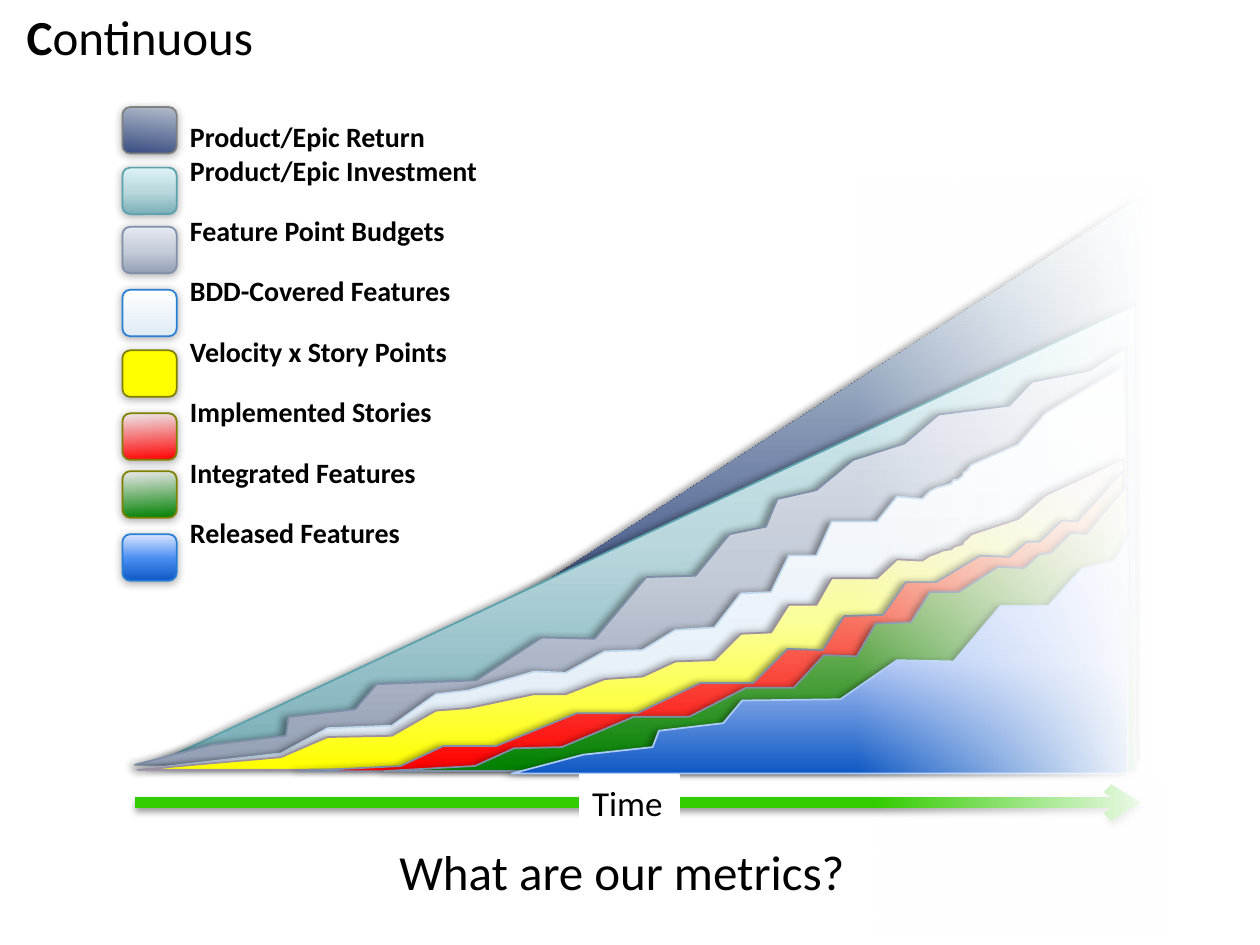
from lxml import etree
from pptx import Presentation, util as u
from pptx.dml.color import RGBColor
from pptx.enum import shapes, text
from pptx.oxml.ns import qn

THEME = {
    "font": "Calibri", "heading": 28, "axis": 20, "label": 16,
    "ink": "000000", "paper": "FFFFFF", "arrow": "33CC00",
    "return": [(0, "000000"), (24, "384C81"), (100, "DEECEF")],
    "return_key": [(0, "384C81"), (100, "B2BCCB")],
    "investment": [(0, "7AAEB8"), (48, "B9D7DD"), (100, "DDF2F6")],
    "budget": [(0, "939FB4"), (48, "C5CCD9"), (100, "E4E9F2")],
    "covered": [(0, "E0EBF6"), (100, "FFFFFF")],
    "velocity": [(0, "FFFF00"), (48, "FBFF9A"), (100, "EDE9EE")],
    "velocity_key": [(0, "FFFF00"), (100, "FFFF00")],
    "implemented": [(0, "FF0000"), (100, "F0E5C1")],
    "implemented_key": [(0, "FF0000"), (100, "EBE9EC")],
    "integrated": [(0, "008000"), (100, "F0E5C1")],
    "integrated_key": [(0, "008000"), (100, "EBE9EC")],
    "released": [(0, "0E58C4"), (48, "ADC4F4"), (100, "DAE5FF")],
    "released_key": [(0, "0E58C4"), (48, "4A8EF2"), (100, "DAE5FF")],
    "veil": [(0, "FFFFFF", 0), (100, "FFFFFF")],
    "teal": "5AA2AE", "slate": "7F8FA9", "ice": "C0D8ED", "mauve": "9D90A0",
    "sky": "ACCBF9", "blue": "297FD5", "olive": "808000", "gray": "808080",
    "area_shadow": (40, 4, 3, 180),
    "key_shadow": (32, 5, 1, 90),
    "arrow_shadow": (38, 3.1, 1.6, 90),
}


def style_shape(shape, fill, angle=90, line=None, shadow=None):
    shape.shadow.inherit = False
    properties = shape._element.spPr
    if isinstance(THEME[fill], str):
        shape.fill.solid()
        shape.fill.fore_color.rgb = RGBColor.from_string(THEME[fill])
    else:
        shape.fill.gradient()
        shape.fill.gradient_angle = angle
        stops = properties.find(qn("a:gradFill")).find(qn("a:gsLst"))
        stops[:] = []
        for position, color, *alpha in THEME[fill]:
            stop = etree.SubElement(stops, qn("a:gs"), pos=str(position * 1000))
            tint = etree.SubElement(stop, qn("a:srgbClr"), val=color)
            for value in alpha:
                etree.SubElement(tint, qn("a:alpha"), val=str(value * 1000))
    if line:
        shape.line.color.rgb = RGBColor.from_string(THEME[line])
        shape.line.width = u.Pt(1)
    else:
        shape.line.fill.background()
    if shadow:
        add_shadow(properties.find(qn("a:effectLst")), THEME[shadow])


def add_shadow(effects, values):
    alpha, blur, distance, direction = values
    outer = etree.SubElement(
        effects, qn("a:outerShdw"), blurRad=str(u.Pt(blur)), dist=str(u.Pt(distance)),
        dir=str(direction * 60000), rotWithShape="0")
    tint = etree.SubElement(outer, qn("a:srgbClr"), val=THEME["ink"])
    etree.SubElement(tint, qn("a:alpha"), val=str(alpha * 1000))


deck = Presentation()
deck.slide_width, deck.slide_height = u.Pt(720), u.Pt(540)
page = deck.slides.add_slide(deck.slide_layouts[6])
canvas = page.shapes
texts = []

triangles = [
    ((153.4, 113, 498.2, 321.8), "return", None),
    ((93.6, 174.2, 555.1, 259.9), "investment", "teal"),
]
for frame, fill, line in triangles:
    triangle = canvas.add_shape(shapes.MSO_SHAPE.RIGHT_TRIANGLE, *map(u.Pt, frame))
    triangle._element.spPr.xfrm.set("flipH", "1")
    style_shape(triangle, fill, 90, line, "area_shadow")

feature_x = [892, 897, 109, 223, 260, 311, 346, 372, 424, 449, 480, 510, 536, 567, 588,
             612, 626, 648, 660, 696, 712, 732, 738, 744, 748, 755, 757, 760, 764, 765,
             767, 771, 808, 830]
covered_y = [291, 610, 611, 598, 578, 576, 551, 548, 533, 534, 517, 516, 500, 498, 471,
             470, 441, 441, 414, 414, 394, 396, 390, 387, 386, 384, 381, 381, 378, 375,
             374, 369, 353, 328]
velocity_y = [364, 610, 611, 601, 585, 584, 564, 562, 551, 551, 539, 537, 525, 524, 503,
              502, 480, 480, 459, 459, 444, 445, 441, 439, 437, 436, 434, 433, 432, 429,
              428, 424, 412, 393]
areas = [
    ("budget", "slate", [
        (896, 607), (107, 607), (169, 591), (227, 584), (229, 569), (282, 563), (299, 543),
        (378, 540), (430, 506), (472, 507), (513, 458), (552, 457), (579, 424), (608, 418),
        (617, 396), (648, 389), (677, 365), (718, 352), (745, 329), (801, 322), (819, 303),
        (865, 294), (894, 275)]),
    ("covered", "ice", list(zip(feature_x, covered_y))),
    ("velocity", "mauve", list(zip(feature_x, velocity_y))),
    ("implemented", "slate", [
        (891, 374), (900, 612), (237, 612), (318, 608), (352, 592), (394, 592), (458, 566),
        (506, 566), (556, 542), (598, 542), (625, 515), (653, 516), (670, 489), (701, 488),
        (719, 462), (743, 462), (778, 441), (801, 442), (815, 430), (825, 430), (843, 413),
        (855, 414)]),
    ("integrated", "slate", [
        (894, 386), (902, 612), (305, 612), (377, 608), (408, 594), (446, 593), (503, 569),
        (547, 569), (592, 546), (630, 546), (654, 520), (680, 521), (695, 495), (723, 494),
        (738, 470), (761, 470), (792, 450), (813, 451), (825, 440), (834, 439), (850, 423),
        (862, 424)]),
    ("released", "sky", [
        (895, 427), (895, 614), (406, 614), (463, 599), (518, 593), (523, 580), (574, 574),
        (589, 556), (667, 555), (712, 524), (757, 525), (794, 481), (832, 481), (859, 451),
        (885, 445)]),
]
for fill, line, points in areas:
    outline = canvas.build_freeform(*points[0], scale=u.Pt(0.72))
    outline.add_line_segments(points[1:], close=True)
    style_shape(outline.convert_to_shape(), fill, 90, line, "area_shadow")

chart_veil = canvas.add_shape(
    shapes.MSO_SHAPE.RECTANGLE, *map(u.Pt, (488.9, 103.7, 165.6, 342.7)))
style_shape(chart_veil, "veil", 0)

legend = [
    ("Product/Epic Return", 61.2, 65.7, "return_key", 83, "gray"),
    ("Product/Epic Investment", 95.8, 85.1, "investment", 90, "teal"),
    ("Feature Point Budgets", 129.6, 119.6, "budget", 90, "slate"),
    ("BDD-Covered Features", 165.6, 154.1, "covered", 90, "blue"),
    ("Velocity x Story Points", 200.2, 188.6, "velocity_key", 90, "olive"),
    ("Implemented Stories", 236.2, 223.1, "implemented_key", 94, "olive"),
    ("Integrated Features", 269.3, 257.6, "integrated_key", 94, "olive"),
    ("Released Features", 305.3, 292.1, "released_key", 90, "blue"),
]
for label, key_top, label_top, fill, angle, line in legend:
    key = canvas.add_shape(
        shapes.MSO_SHAPE.ROUNDED_RECTANGLE, *map(u.Pt, (70, key_top, 31, 26.6)))
    style_shape(key, fill, angle, line, "key_shadow")
    box = canvas.add_textbox(*map(u.Pt, (101.5, label_top, 188, 24)))
    texts.append((box, [(label, True)], "label", text.PP_ALIGN.LEFT))

time_arrow = canvas.add_connector(
    shapes.MSO_CONNECTOR.STRAIGHT, *map(u.Pt, (77, 458.6, 651.6, 458.6)))
time_arrow.line.color.rgb = RGBColor.from_string(THEME["arrow"])
time_arrow.line.width = u.Pt(6)
etree.SubElement(time_arrow.line._get_or_add_ln(), qn("a:tailEnd"), type="arrow")
add_shadow(etree.SubElement(time_arrow._element.spPr, qn("a:effectLst")),
           THEME["arrow_shadow"])

arrow_veil = canvas.add_shape(
    shapes.MSO_SHAPE.RECTANGLE, *map(u.Pt, (500.4, 446.4, 165.6, 88.6)))
style_shape(arrow_veil, "veil", 0)

time_box = canvas.add_shape(
    shapes.MSO_SHAPE.RECTANGLE, *map(u.Pt, (331.2, 442.8, 56.9, 31.7)))
style_shape(time_box, "paper", line="paper")
texts.append((time_box, [("Time", False)], "axis", text.PP_ALIGN.LEFT))

title = canvas.add_textbox(*map(u.Pt, (2.9, 0, 154.1, 41)))
texts.append((title, [("C", True), ("ontinuous", False)], "heading", text.PP_ALIGN.CENTER))
question = canvas.add_textbox(*map(u.Pt, (214.6, 477.4, 281.5, 41)))
texts.append((question, [("What are our metrics?", False)], "heading",
              text.PP_ALIGN.CENTER))

for box, parts, size, alignment in texts:
    box.text_frame.word_wrap = False
    box.text_frame.vertical_anchor = text.MSO_ANCHOR.MIDDLE
    para = box.text_frame.paragraphs[0]
    para.alignment = alignment
    for words, bold in parts:
        span = para.add_run()
        span.text = words
        span.font.color.rgb = RGBColor.from_string(THEME["ink"])
        look = {"name": THEME["font"], "size": u.Pt(THEME[size]), "bold": bold}
        for name, value in look.items():
            setattr(span.font, name, value)

deck.save("out.pptx")
